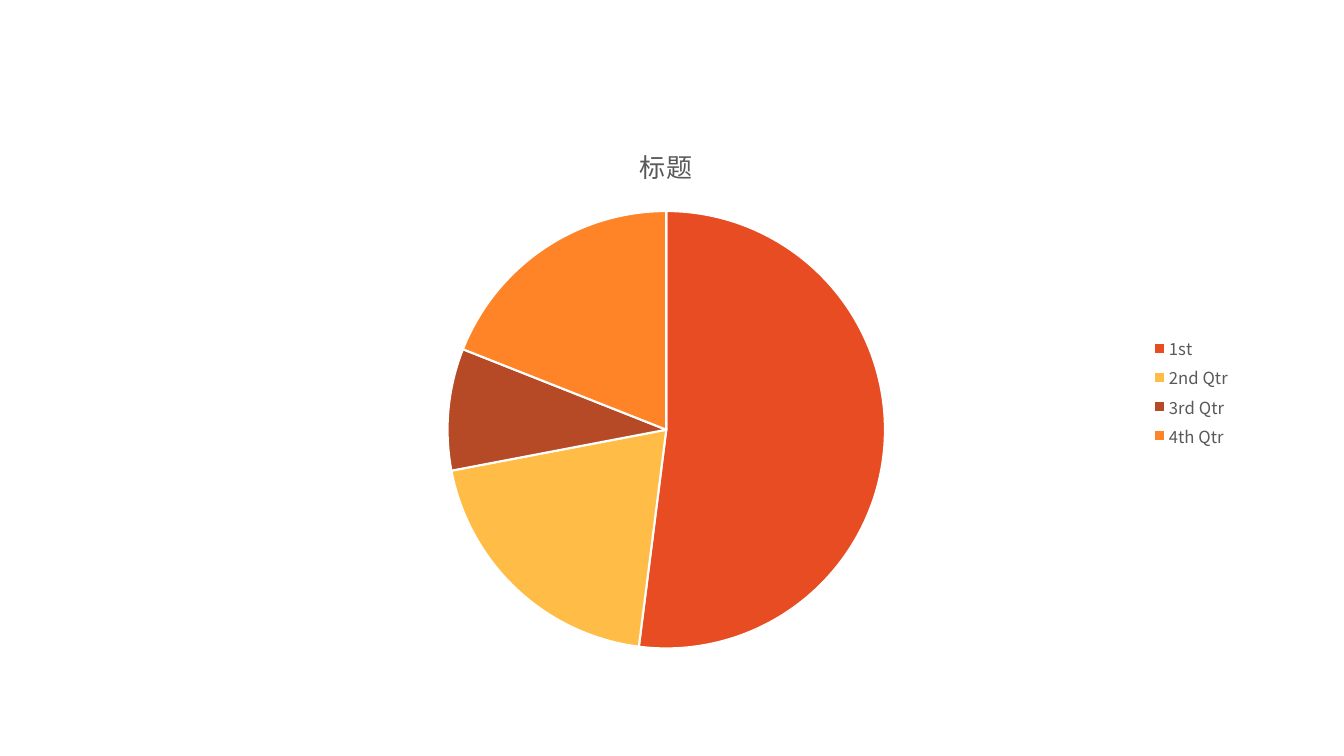
from lxml.etree import SubElement
from pptx import Presentation
from pptx.chart.data import CategoryChartData
from pptx.dml.color import RGBColor
from pptx.enum.chart import XL_CHART_TYPE, XL_LEGEND_POSITION
from pptx.oxml.ns import qn
from pptx.util import Pt

COLORS = {
    "text": "595959",
    "border": "FFFFFF",
    "1st": "E84C22",
    "2nd Qtr": "FFBD47",
    "3rd Qtr": "B64926",
    "4th Qtr": "FF8427",
}
QUARTERS = {"1st": 52, "2nd Qtr": 20, "3rd Qtr": 9, "4th Qtr": 19}


class SlideBuilder:
    """Holds the style and the current slide."""

    def __init__(self, page, typeface="Noto Sans CJK SC"):
        self.page = page
        self.typeface = typeface

    def color(self, name):
        return RGBColor.from_string(COLORS[name])

    def style_font(self, font, size):
        font.name = self.typeface
        font.size = Pt(size)
        font.bold = False
        font.color.rgb = self.color("text")
        # East Asian glyphs use the same typeface
        SubElement(font._element, qn("a:ea"), typeface=self.typeface)

    def pie(self, left, top, width, height, values, title):
        chart_data = CategoryChartData()
        chart_data.categories = list(values)
        chart_data.add_series("Series 1", list(values.values()))
        chart = self.page.shapes.add_chart(
            XL_CHART_TYPE.PIE, Pt(left), Pt(top), Pt(width), Pt(height), chart_data
        ).chart
        self.style_font(chart.font, 10)

        # Chart title
        chart.has_title = True
        chart.chart_title.include_in_layout = False
        span = chart.chart_title.text_frame.paragraphs[0].add_run()
        span.text = title
        self.style_font(span.font, 18.6)

        # Slices
        plot = chart.plots[0]
        plot.vary_by_categories = True
        for index, quarter in enumerate(values):
            slice_format = plot.series[0].points[index].format
            slice_format.fill.solid()
            slice_format.fill.fore_color.rgb = self.color(quarter)
            slice_format.line.color.rgb = self.color("border")
            slice_format.line.width = Pt(1.5)

        # Legend
        chart.has_legend = True
        chart.legend.position = XL_LEGEND_POSITION.RIGHT
        chart.legend.include_in_layout = True
        self.style_font(chart.legend.font, 11.9)
        return chart

    def place_plot(self, chart, left, top, width, height):
        """Place the plot area, in fractions of the chart."""
        plot_area = chart._chartSpace.chart.plotArea
        layout = plot_area.find(qn("c:layout"))
        if layout is None:
            layout = SubElement(plot_area, qn("c:layout"))
            plot_area.insert(0, layout)
        manual = SubElement(layout, qn("c:manualLayout"))
        settings = {"layoutTarget": "inner", "xMode": "edge", "yMode": "edge",
                    "x": left, "y": top, "w": width, "h": height}
        for tag, value in settings.items():
            SubElement(manual, qn(f"c:{tag}"), val=str(value))


def main():
    deck = Presentation()
    deck.slide_width, deck.slide_height = Pt(960), Pt(540)
    page = deck.slides.add_slide(deck.slide_layouts[6])
    builder = SlideBuilder(page)

    # Pie chart of the four quarters
    chart = builder.pie(64.8, 87.84, 822.24, 384.48, QUARTERS, "标题")
    builder.place_plot(chart, 0.31, 0.16, 0.38, 0.82)

    deck.save("out.pptx")


if __name__ == "__main__":
    main()
